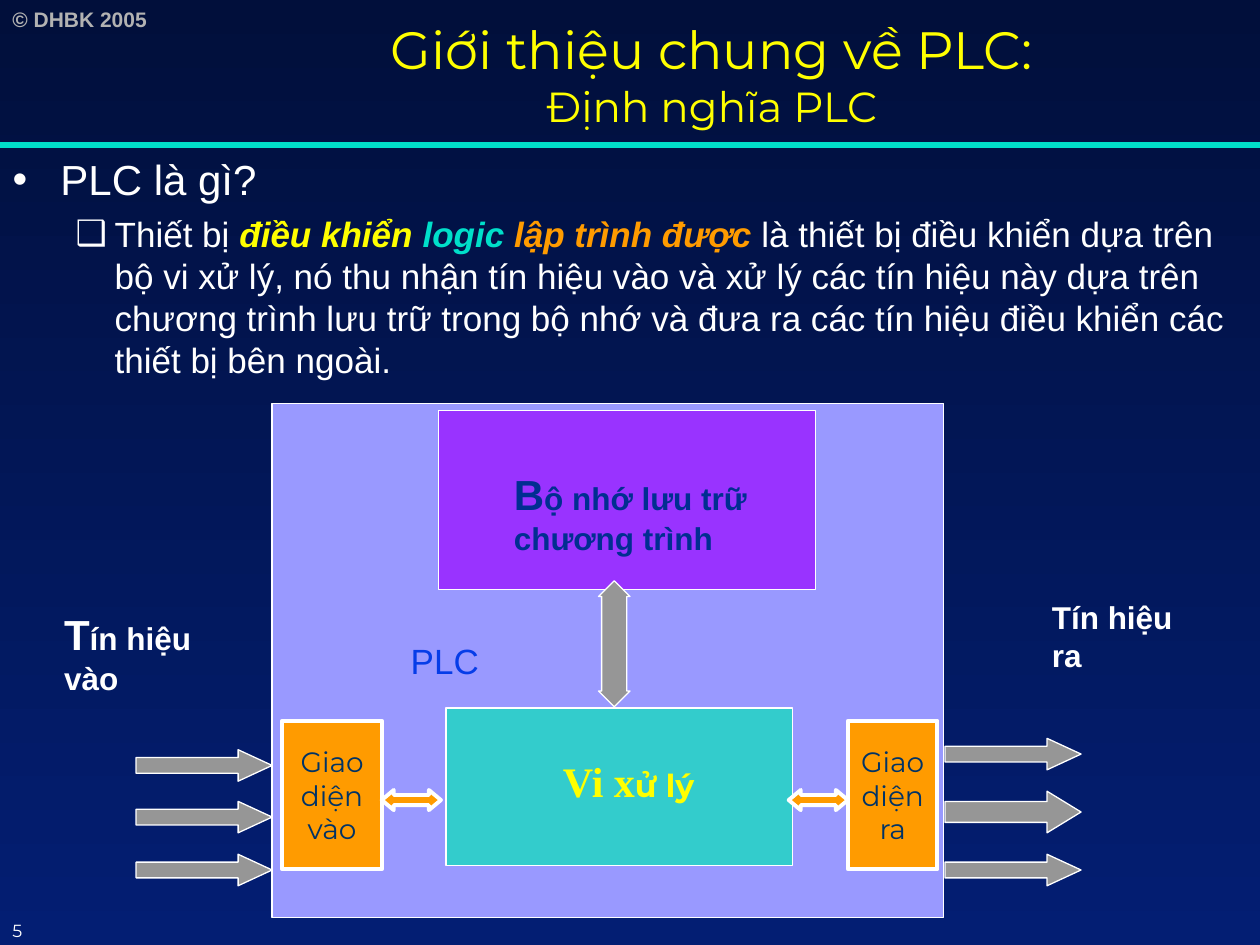
"""Build the slide that defines a PLC and shows its block diagram."""
from dataclasses import dataclass

from lxml import etree
from pptx import Presentation
from pptx import util as u
from pptx.dml.color import RGBColor
from pptx.enum import shapes, text
from pptx.oxml.ns import qn


@dataclass(frozen=True)
class Theme:
    """Colours, fonts and type sizes of the deck."""
    night: str = "010F3B"
    navy: str = "031E73"
    white: str = "FFFFFF"
    yellow: str = "FFFF00"
    aqua: str = "00DFCA"
    orange: str = "FF9B00"
    silver: str = "B2B2B2"
    gray: str = "969696"
    lavender: str = "9999FF"
    violet: str = "9933FF"
    teal: str = "33CCCC"
    blue: str = "063DE8"
    ink: str = "012E91"
    deep: str = "003366"
    sans: str = "Arial"
    display: str = "Montserrat"
    serif: str = "Times New Roman"
    headline: int = 30
    large: int = 24
    medium: int = 20
    label: int = 18
    port: int = 16
    credit: int = 12
    number: int = 10


THEME = Theme()
SHAPE = shapes.MSO_SHAPE


def style_font(font, name=None, size=None, color=None, bold=None, italic=None):
    """Set the given properties of a font."""
    if name:
        font.name = name
    if size:
        font.size = u.Pt(size)
    if color:
        font.color.rgb = RGBColor.from_string(color)
    if bold is not None:
        font.bold = bold
    if italic is not None:
        font.italic = italic


def write(para, spans, **style):
    """Style a paragraph and add its (text, overrides) spans."""
    style_font(para.font, **style)
    for words, overrides in spans:
        span = para.add_run()
        span.text = words
        style_font(span.font, **overrides)


def place(item, left, top, width, height):
    """Move and size an item in inches."""
    item.left, item.top = u.Inches(left), u.Inches(top)
    item.width, item.height = u.Inches(width), u.Inches(height)


def add_bullet(para, mark, margin, hanging):
    """Give a paragraph a white bullet and a hanging indent."""
    props = para._p.get_or_add_pPr()
    props.set("marL", str(u.Inches(margin)))
    props.set("indent", str(-u.Inches(hanging)))
    color = etree.SubElement(props, qn("a:buClr"))
    etree.SubElement(color, qn("a:srgbClr"), val=THEME.white)
    etree.SubElement(props, qn("a:buFont"), typeface=THEME.sans)
    etree.SubElement(props, qn("a:buChar"), char=mark)


def add_label(page, area, spans, **style):
    """Add a wrapped text box with one paragraph."""
    box = page.shapes.add_textbox(*map(u.Inches, area))
    box.text_frame.word_wrap = True
    write(box.text_frame.paragraphs[0], spans, **style)


def add_block(page, kind, area, fill, line=0.75, head=None):
    """Add a flat shape with a white outline, and an arrowhead ratio if given."""
    block = page.shapes.add_shape(kind, *map(u.Inches, area))
    block.shadow.inherit = False
    block.fill.solid()
    block.fill.fore_color.rgb = RGBColor.from_string(fill)
    block.line.color.rgb = RGBColor.from_string(THEME.white)
    block.line.width = u.Pt(line)
    if head:
        block.adjustments[1] = head
    return block


def add_port(page, left, width, direction):
    """Add an interface block with its three-line caption."""
    port = add_block(page, SHAPE.RECTANGLE, (left, 5.72, width, 1.18), THEME.orange, 2.25)
    frame = port.text_frame
    frame.word_wrap = False
    for index, word in enumerate(("Giao", "diện", direction)):
        para = frame.add_paragraph() if index else frame.paragraphs[0]
        para.alignment = text.PP_ALIGN.CENTER
        write(para, [(word, {})], name=THEME.display, size=THEME.port, color=THEME.deep)


def add_header(page):
    """Add the background, credit, rule and title."""
    fill = page.background.fill
    fill.gradient()
    fill.gradient_angle = 270
    for stop, color in zip(fill.gradient_stops, (THEME.night, THEME.navy)):
        stop.color.rgb = RGBColor.from_string(color)
    add_label(page, (0, 0, 1.45, 0.3), [("© DHBK 2005", {})],
              name=THEME.sans, size=THEME.credit, color=THEME.silver, bold=True)
    rule = page.shapes.add_connector(shapes.MSO_CONNECTOR.STRAIGHT, 0, u.Inches(1.15),
                                     u.Inches(10), u.Inches(1.15))
    rule.line.color.rgb = RGBColor.from_string(THEME.aqua)
    rule.line.width = u.Pt(3)
    etree.SubElement(rule._element.spPr, qn("a:effectLst"))

    title = page.shapes.title
    place(title, 1.3, 0, 8.7, 1.17)
    frame = title.text_frame
    frame.auto_size = text.MSO_AUTO_SIZE.NONE
    frame.vertical_anchor = text.MSO_ANCHOR.MIDDLE
    para = frame.paragraphs[0]
    para.alignment = text.PP_ALIGN.CENTER
    write(para, [("Giới thiệu chung về PLC:", {"size": THEME.headline})],
          name=THEME.display, color=THEME.yellow)
    para.add_line_break()
    write(para, [("Định nghĩa PLC", {"size": THEME.large})])


def add_definition(page):
    """Fill the body with the question and the definition."""
    body = page.placeholders[1]
    place(body, 0, 1.17, 10, 6.33)
    frame = body.text_frame
    frame.auto_size = text.MSO_AUTO_SIZE.NONE
    question, answer = frame.paragraphs[0], frame.add_paragraph()
    add_bullet(question, "•", 0.38, 0.38)
    question.space_before = u.Pt(0)
    write(question, [("PLC là gì?", {})],
          name=THEME.sans, size=THEME.large, color=THEME.white)
    answer.level = 1
    add_bullet(answer, "❑", 0.81, 0.31)
    answer.space_before = u.Pt(5)
    strong = {"bold": True, "italic": True}
    write(answer, [
        ("Thiết bị ", {}),
        ("điều khiển ", {"color": THEME.yellow, **strong}),
        ("logic ", {"color": THEME.aqua, **strong}),
        ("lập trình được", {"color": THEME.orange, **strong}),
        (" là thiết bị điều khiển dựa trên bộ vi xử lý, nó thu nhận tín hiệu vào và xử lý "
         "các tín hiệu này dựa trên chương trình lưu trữ trong bộ nhớ và đưa ra các tín hiệu "
         "điều khiển các thiết bị bên ngoài.", {}),
    ], name=THEME.sans, size=THEME.medium, color=THEME.white)


def add_diagram(page):
    """Draw the PLC with its memory, processor, interfaces and signals."""
    casing = add_block(page, SHAPE.RECTANGLE, (2.16, 3.2, 5.33, 4.08), THEME.lavender)
    casing.text_frame.margin_left = u.Inches(1.1)
    name = casing.text_frame.paragraphs[0]
    name.alignment = text.PP_ALIGN.LEFT
    write(name, [("PLC", {})], name=THEME.sans, size=THEME.medium, color=THEME.blue)

    add_block(page, SHAPE.RECTANGLE, (3.48, 3.26, 2.99, 1.42), THEME.violet)
    bold = {"name": THEME.sans, "bold": True}
    initial, rest = {"size": THEME.large}, {"size": THEME.label}
    add_label(page, (3.98, 3.67, 2.83, 0.8),
              [("B", initial), ("ộ nhớ lưu trữ chương trình", rest)], color=THEME.ink, **bold)

    inputs = [(1.08, top, 0.25) for top in (5.95, 6.36, 6.78)]
    outputs = [(7.5, 6.78, 0.25), (7.5, 6.28, 0.33), (7.5, 5.86, 0.25)]
    for left, top, height in inputs + outputs:
        add_block(page, SHAPE.RIGHT_ARROW, (left, top, 1.08, height), THEME.gray,
                  head=0.27 / height)
    add_block(page, SHAPE.UP_DOWN_ARROW, (4.75, 4.61, 0.25, 1), THEME.gray, head=0.8)
    add_label(page, (0.41, 4.78, 1.42, 0.8),
              [("T", initial), ("ín hiệu vào", rest)], color=THEME.white, **bold)
    add_label(page, (8.25, 4.7, 1.42, 0.7), [("Tín hiệu ra", {})],
              color=THEME.white, size=THEME.label, **bold)

    add_port(page, 2.24, 0.79, "vào")
    add_block(page, SHAPE.RECTANGLE, (3.54, 5.62, 2.75, 1.25), THEME.teal)
    add_label(page, (4.37, 5.95, 2.33, 0.5),
              [("Vi x", {"name": THEME.serif, **initial}),
               ("ử lý", {"name": THEME.display, **rest})], color=THEME.yellow, bold=True)
    add_port(page, 6.73, 0.71, "ra")
    for left in (3.03, 6.26):
        add_block(page, SHAPE.LEFT_RIGHT_ARROW, (left, 6.27, 0.47, 0.16), THEME.orange,
                  2.25, head=0.6)


def main():
    """Build and save the deck."""
    deck = Presentation()
    deck.slide_width, deck.slide_height = u.Inches(10), u.Inches(7.5)
    page = deck.slides.add_slide(deck.slide_layouts[1])
    add_header(page)
    add_definition(page)
    add_diagram(page)
    add_label(page, (0, 7.25, 0.67, 0.25), [("5", {})],
              name=THEME.display, size=THEME.number, color=THEME.white)
    deck.save("out.pptx")


if __name__ == "__main__":
    main()
